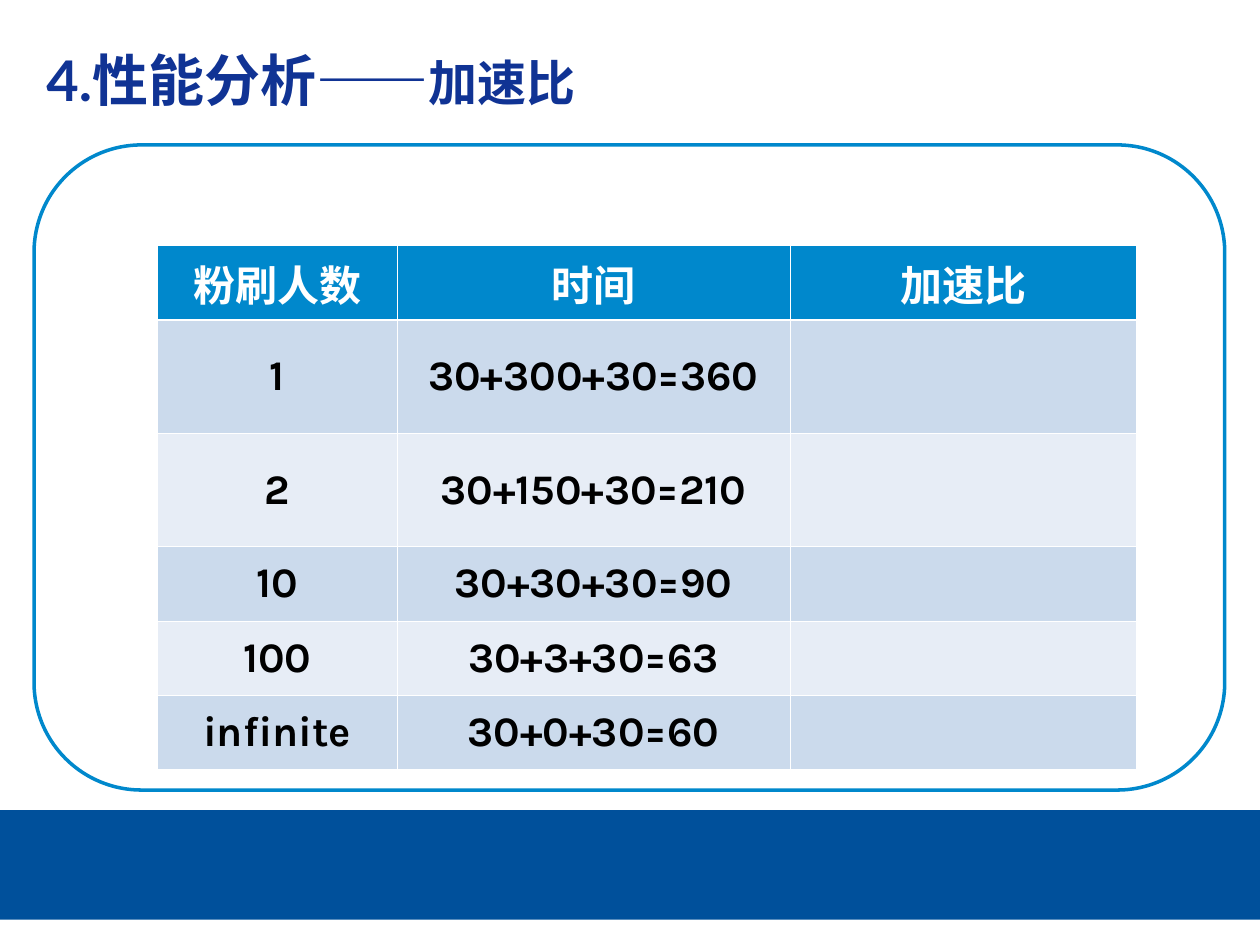
from lxml import etree
from pptx import Presentation
from pptx import util as u
from pptx.dml.color import RGBColor
from pptx.enum import shapes, text
from pptx.oxml.ns import qn

TITLE = [("4.性能分析——", 32), ("加速比", 28)]
HEADER = ("粉刷人数", "时间", "加速比")
# painters, time, speedup (left open), row height
ROWS = [
    ("1", "30+300+30=360", "", 0.9),
    ("2", "30+150+30=210", "", 0.9),
    ("10", "30+30+30=90", "", 0.59),
    ("100", "30+3+30=63", "", 0.59),
    ("infinite", "30+0+30=60", "", 0.59),
]
COL_WIDTHS = (1.9, 3.12, 2.75)
HEADER_HEIGHT = 0.59
THIN, THICK = 0.45, 1.47

NAVY = RGBColor(0x10, 0x33, 0x94)
BAND = RGBColor(0x00, 0x50, 0x9B)
BLUE = RGBColor(0x00, 0x88, 0xCC)
STRIPES = (RGBColor(0xCB, 0xDA, 0xEC), RGBColor(0xE7, 0xED, 0xF6))
WHITE = RGBColor(0xFF, 0xFF, 0xFF)
BLACK = RGBColor(0, 0, 0)


def box(*lengths):
    return [u.Inches(n) for n in lengths]


def add_run(p, words, **font):
    r = p.add_run()
    r.text = words
    color = font.pop("color")
    for name, value in font.items():
        setattr(r.font, name, value)
    r.font.color.rgb = color


def set_borders(cell, **widths):
    """Draw white cell borders; they must precede the cell's fill."""
    tcPr = cell._tc.get_or_add_tcPr()
    for tag, width in widths.items():
        ln = etree.SubElement(tcPr, qn(f"a:{tag}"), w=str(u.Pt(width)))
        fill = etree.SubElement(ln, qn("a:solidFill"))
        etree.SubElement(fill, qn("a:srgbClr"), val=str(WHITE))


def add_frame(slide):
    kinds = shapes.MSO_SHAPE
    band = slide.shapes.add_shape(kinds.RECTANGLE, *box(0, 6.43, 10, 0.87))
    band.fill.solid()
    band.fill.fore_color.rgb = BAND
    band.line.fill.background()
    frame = slide.shapes.add_shape(kinds.FLOWCHART_ALTERNATE_PROCESS,
                                   *box(0.27, 1.15, 9.45, 5.12))
    frame.fill.background()
    frame.line.color.rgb = BLUE
    frame.line.width = u.Pt(2)
    for sp in (band, frame):
        sp.shadow.inherit = False


def add_title(slide):
    tf = slide.shapes.add_textbox(*box(0.27, 0.28, 9, 0.69)).text_frame
    tf.word_wrap = True
    tf.vertical_anchor = text.MSO_ANCHOR.MIDDLE
    for words, size in TITLE:
        add_run(tf.paragraphs[0], words, name="Lato", size=u.Pt(size),
                bold=True, color=NAVY)


def add_speedup_table(slide):
    heights = [HEADER_HEIGHT] + [row[-1] for row in ROWS]
    lines = [HEADER] + [row[:-1] for row in ROWS]
    table = slide.shapes.add_table(
        len(lines), len(COL_WIDTHS),
        *box(1.25, 1.95, sum(COL_WIDTHS), sum(heights))).table
    for column, width in zip(table.columns, COL_WIDTHS):
        column.width = u.Inches(width)
    for i, (line, height) in enumerate(zip(lines, heights)):
        table.rows[i].height = u.Inches(height)
        for j, words in enumerate(line):
            cell = table.cell(i, j)
            cell.vertical_anchor = text.MSO_ANCHOR.MIDDLE
            set_borders(cell, lnL=THIN, lnR=THIN,
                        lnT=THICK if i == 1 else THIN,
                        lnB=THICK if i == 0 else THIN)
            cell.fill.solid()
            cell.fill.fore_color.rgb = STRIPES[(i - 1) % 2] if i else BLUE
            p = cell.text_frame.paragraphs[0]
            p.alignment = text.PP_ALIGN.CENTER
            if words:
                add_run(p, words, name="Karla", size=u.Pt(24), bold=True,
                        color=BLACK if i else WHITE)


def main():
    prs = Presentation()
    prs.slide_width, prs.slide_height = box(10, 7.5)
    slide = prs.slides.add_slide(prs.slide_layouts[6])
    add_frame(slide)
    add_title(slide)
    add_speedup_table(slide)
    prs.save("out.pptx")


if __name__ == "__main__":
    main()
